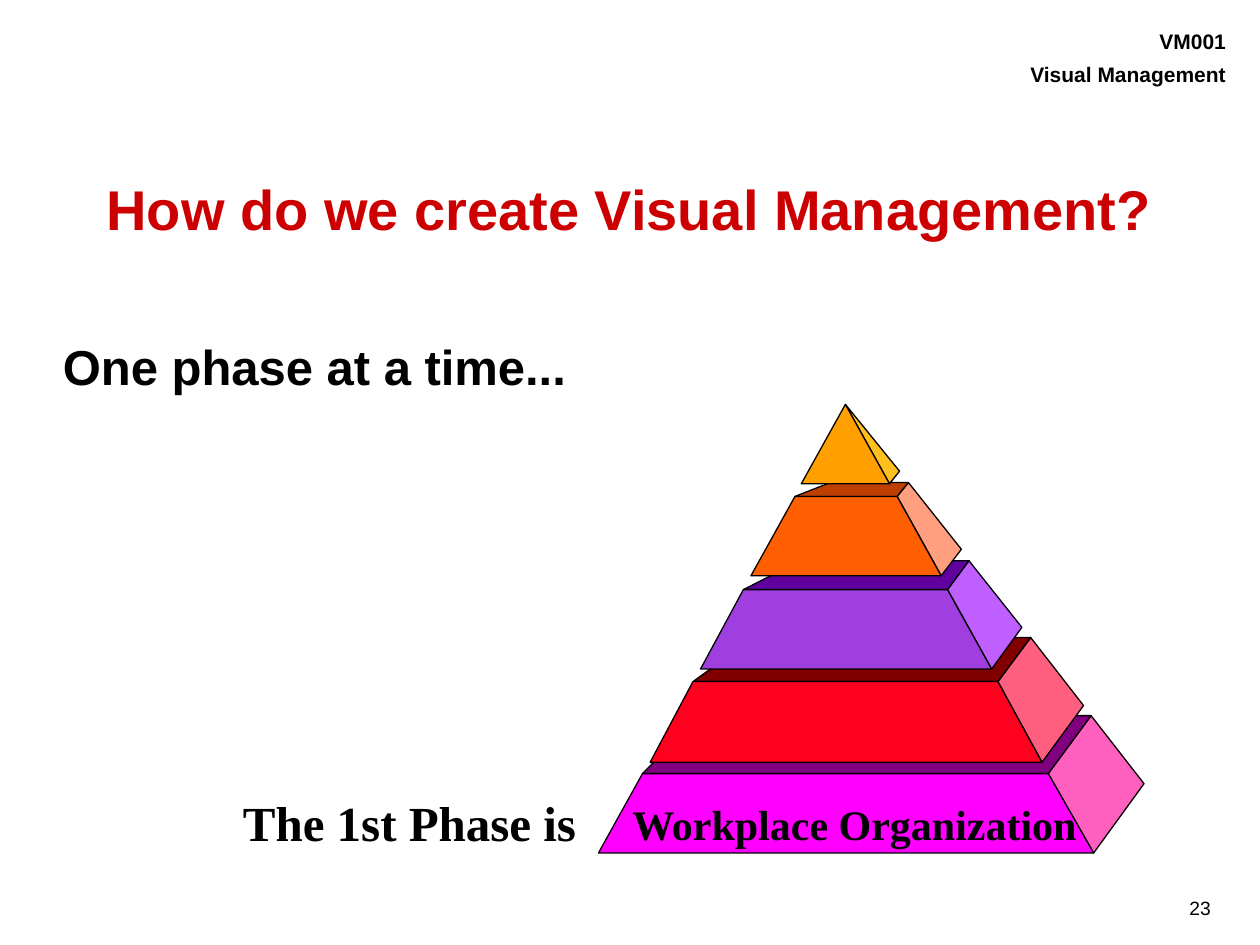
from pptx import Presentation
from pptx.dml.color import RGBColor
from pptx.enum.text import PP_ALIGN
from pptx.util import Inches, Pt

BLACK = RGBColor(0x00, 0x00, 0x00)
TITLE_RED = RGBColor(0xCC, 0x00, 0x00)

# Tiers from bottom to top, each with its corner points and
# its side, top and front colours. The tip has no top face.
TIERS = [
    dict(base_left=(4.75, 6.77), base_right=(8.68, 6.77),
         top_left=(5.1, 6.14), top_right=(8.32, 6.14),
         back_left=(5.55, 5.68), back_right=(8.66, 5.68), outer=(9.08, 6.22),
         colors=("FF5FBF", "800080", "FF00FF")),
    dict(base_left=(5.16, 6.05), base_right=(8.27, 6.05),
         top_left=(5.5, 5.41), top_right=(7.92, 5.41),
         back_left=(5.98, 5.06), back_right=(8.18, 5.06), outer=(8.6, 5.6),
         colors=("FF5F7F", "800000", "FF001F")),
    dict(base_left=(5.56, 5.31), base_right=(7.87, 5.31),
         top_left=(5.9, 4.68), top_right=(7.52, 4.68),
         back_left=(6.35, 4.45), back_right=(7.69, 4.45), outer=(8.11, 4.98),
         colors=("BF5FFF", "5F009F", "9F3FDF")),
    dict(base_left=(5.96, 4.57), base_right=(7.47, 4.57),
         top_left=(6.31, 3.94), top_right=(7.12, 3.94),
         back_left=(6.59, 3.83), back_right=(7.21, 3.83), outer=(7.63, 4.36),
         colors=("FF9F7F", "BF3F00", "FF5F00")),
]
TIP = dict(base_left=(6.36, 3.84), base_right=(7.06, 3.84),
           apex=(6.71, 3.21), outer=(7.14, 3.74),
           colors=("FFBF1F", "FF9F00"))


def add_text(s, box, lines, size, font="Arial", color=BLACK, bold=True,
             align=PP_ALIGN.LEFT, inset=(0, 0), space_before=0, line_spacing=None):
    tf = s.shapes.add_textbox(*[Inches(v) for v in box]).text_frame
    tf.word_wrap = True
    tf.margin_left = tf.margin_right = Inches(inset[0])
    tf.margin_top = tf.margin_bottom = Inches(inset[1])
    for i, line in enumerate(lines):
        p = tf.paragraphs[0] if i == 0 else tf.add_paragraph()
        p.alignment = align
        if i:
            p.space_before = Pt(space_before)
        if line_spacing:
            p.line_spacing = line_spacing
        r = p.add_run()
        r.text = line
        r.font.name = font
        r.font.size = Pt(size)
        r.font.bold = bold
        r.font.color.rgb = color


def add_face(group, points, color):
    corners = [(Inches(x), Inches(y)) for x, y in points]
    builder = group.shapes.build_freeform(*corners[0])
    builder.add_line_segments(corners[1:], close=True)
    sp = builder.convert_to_shape()
    sp.shadow.inherit = False
    sp.fill.solid()
    sp.fill.fore_color.rgb = RGBColor.from_string(color)
    sp.line.color.rgb = BLACK
    sp.line.width = Pt(0.75)


def add_tier(group, t):
    faces = [
        ("base_right", "top_right", "back_right", "outer"),
        ("top_left", "top_right", "back_right", "back_left"),
        ("top_left", "top_right", "base_right", "base_left"),
    ]
    for face, color in zip(faces, t["colors"]):
        add_face(group, [t[corner] for corner in face], color)


def add_tip(group, t):
    faces = [("base_right", "outer", "apex"), ("base_left", "base_right", "apex")]
    for face, color in zip(faces, t["colors"]):
        add_face(group, [t[corner] for corner in face], color)


def main():
    prs = Presentation()
    prs.slide_width, prs.slide_height = Inches(10), Inches(7.5)
    s = prs.slides.add_slide(prs.slide_layouts[6])

    # Page number and header
    add_text(s, (7.39, 7.07, 2.31, 0.27), ["23"], 11, bold=False,
             align=PP_ALIGN.RIGHT, inset=(0.09, 0.04))
    add_text(s, (7.38, 0.23, 2.35, 0.5), ["VM001", "Visual Management"], 12,
             align=PP_ALIGN.RIGHT, space_before=4)

    # Pyramid
    group = s.shapes.add_group_shape()
    for tier in TIERS:
        add_tier(group, tier)
    add_tip(group, TIP)

    # Title and lead line
    add_text(s, (0.62, 1.47, 8.75, 0.61), ["How do we create Visual Management?"], 32,
             color=TITLE_RED, align=PP_ALIGN.CENTER, line_spacing=0.85)
    add_text(s, (0.5, 2.67, 8.5, 0.63), ["One phase at a time..."], 28)

    # Phase labels
    add_text(s, (1.83, 6.24, 2.85, 0.57), ["The 1st Phase is"], 28,
             font="Times New Roman", inset=(0.1, 0.05))
    add_text(s, (4.92, 6.29, 3.74, 0.5), ["Workplace Organization"], 24,
             font="Times New Roman", inset=(0.1, 0.05))

    prs.save("out.pptx")


if __name__ == "__main__":
    main()
